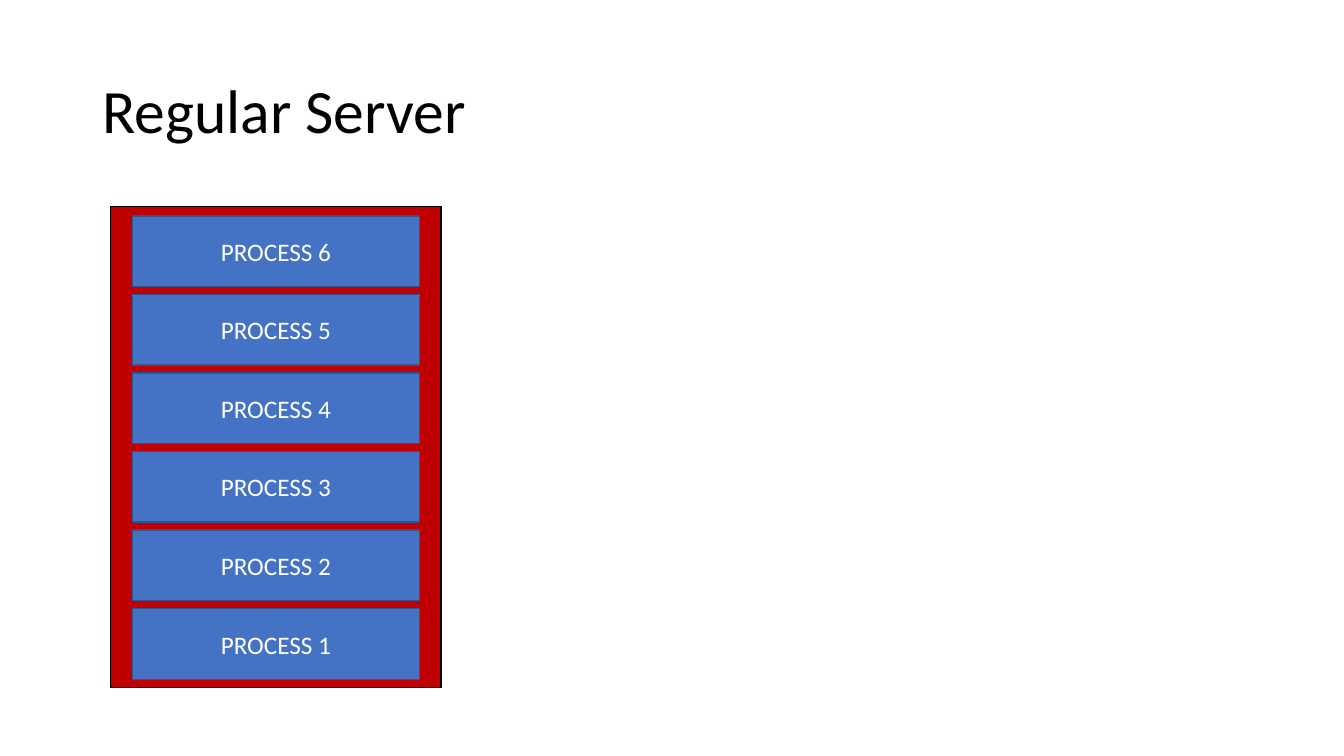
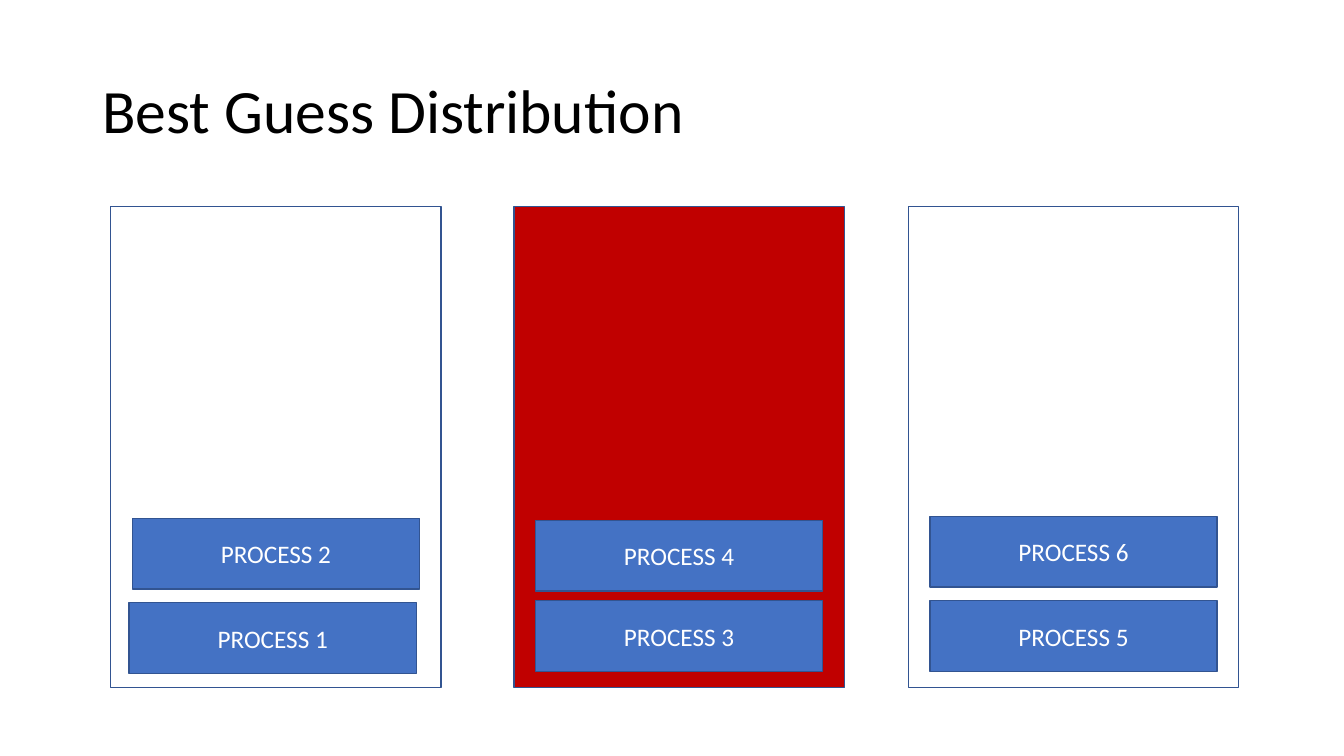
from pptx import Presentation
from pptx.dml.color import RGBColor
from pptx.enum.shapes import MSO_SHAPE as SHAPE
from pptx.enum.text import MSO_ANCHOR as ANCHOR, PP_ALIGN as ALIGN
from pptx.util import Cm, Pt

FONT = "Calibri"
BLACK, WHITE, RED, BLUE, NAVY = "000000", "FFFFFF", "C00000", "4472C4", "325491"

SERVER_TOP, SERVER_W, SERVER_H = 5.21, 8.33, 12.12
PROCESS_W, PROCESS_H = 7.24, 1.78

SLIDES = [
    ("Regular Server", [
        dict(left=2.79, fill=RED, line=BLACK, numbers=range(1, 7), bottom=15.34, step=1.98),
    ]),
    ("Best Guess Distribution", [
        dict(left=2.79, numbers=(1, 2), bottom=15.19, step=2.13, first_shift=-0.08),
        dict(left=12.95, fill=RED, numbers=(3, 4), bottom=15.14, step=2.03),
        dict(left=22.89, numbers=(5, 6), bottom=15.14, step=2.13),
    ]),
]


def rgb(color):
    return RGBColor.from_string(color)


def write(shape, text, size, color, align):
    tf = shape.text_frame
    tf.word_wrap = True
    tf.vertical_anchor = ANCHOR.MIDDLE
    p = tf.paragraphs[0]
    p.alignment = align
    r = p.add_run()
    r.text = text
    r.font.name = FONT
    r.font.size = Pt(size)
    r.font.color.rgb = rgb(color)
    return p


def add_title(s, text):
    box = s.shapes.add_textbox(Cm(2.33), Cm(1.01), Cm(29.21), Cm(3.68))
    write(box, text, 44, BLACK, ALIGN.LEFT).line_spacing = 0.9


def add_box(s, left, top, width, height, fill, line):
    sp = s.shapes.add_shape(SHAPE.RECTANGLE, Cm(left), Cm(top), Cm(width), Cm(height))
    sp.shadow.inherit = False
    if fill:
        sp.fill.solid()
        sp.fill.fore_color.rgb = rgb(fill)
    else:
        sp.fill.background()
    sp.line.color.rgb = rgb(line)
    sp.line.width = Pt(1)
    return sp


def add_server(s, left, numbers, bottom, step, fill=None, line=NAVY, first_shift=0):
    add_box(s, left, SERVER_TOP, SERVER_W, SERVER_H, fill, line)
    centred = left + (SERVER_W - PROCESS_W) / 2
    for i, number in enumerate(numbers):
        x = centred + (first_shift if i == 0 else 0)
        sp = add_box(s, x, bottom - i * step, PROCESS_W, PROCESS_H, BLUE, NAVY)
        write(sp, f"PROCESS {number}", 18, WHITE, ALIGN.CENTER)


def main():
    prs = Presentation()
    prs.slide_width, prs.slide_height = Cm(33.87), Cm(19.05)
    for title, servers in SLIDES:
        s = prs.slides.add_slide(prs.slide_layouts[6])
        add_title(s, title)
        for server in servers:
            add_server(s, **server)
    prs.save("out.pptx")


if __name__ == "__main__":
    main()
